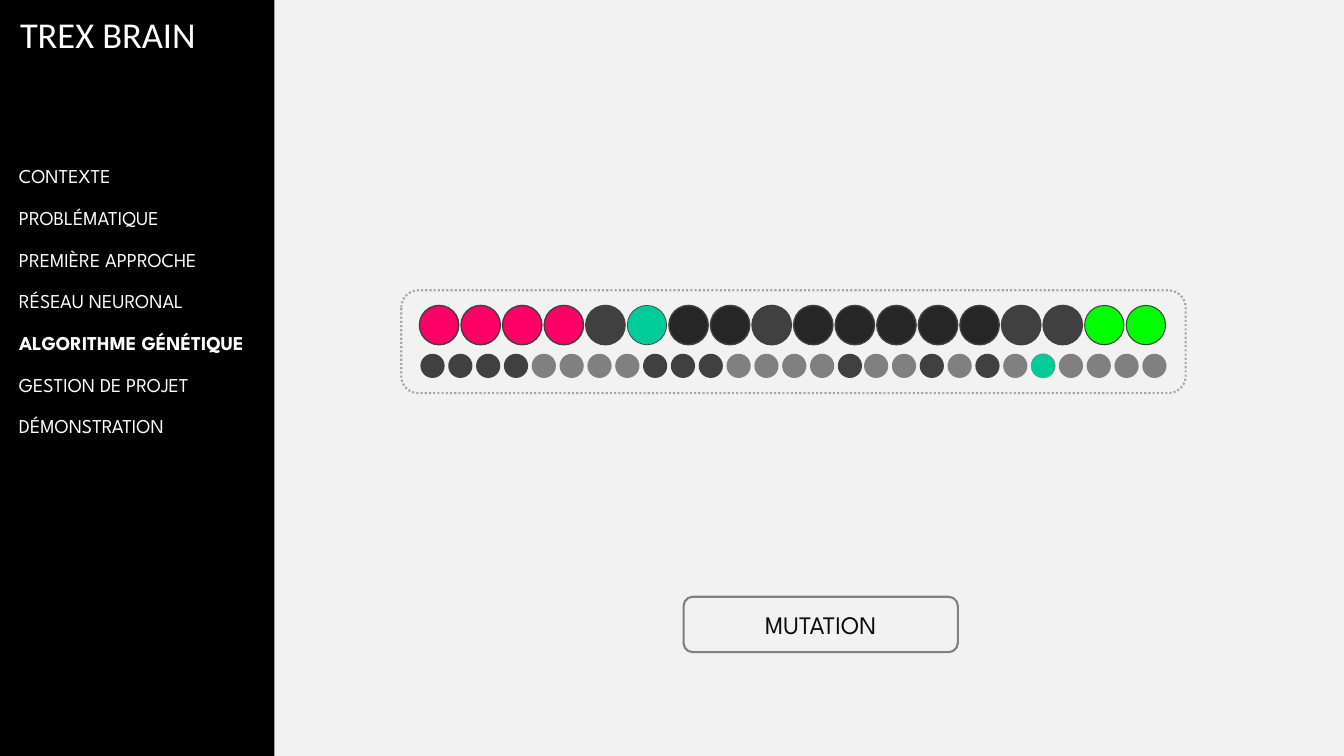
from dataclasses import dataclass

from lxml import etree
from pptx import Presentation
from pptx.dml.color import RGBColor
from pptx.enum.dml import MSO_LINE
from pptx.enum.shapes import MSO_SHAPE
from pptx.enum.text import MSO_ANCHOR, MSO_AUTO_SIZE, PP_ALIGN
from pptx.oxml.ns import qn
from pptx.util import Inches, Pt

OVAL = MSO_SHAPE.OVAL
RECT = MSO_SHAPE.RECTANGLE
ROUND = MSO_SHAPE.ROUNDED_RECTANGLE
DOTS = MSO_LINE.ROUND_DOT
MIDDLE = MSO_ANCHOR.MIDDLE
CENTER = PP_ALIGN.CENTER
GROW = MSO_AUTO_SIZE.SHAPE_TO_FIT_TEXT

BLACK = RGBColor(0x00, 0x00, 0x00)
WHITE = RGBColor(0xFF, 0xFF, 0xFF)
INK = RGBColor(0x0D, 0x0D, 0x0D)
COAL = RGBColor(0x26, 0x26, 0x26)
DARK = RGBColor(0x40, 0x40, 0x40)
GREY = RGBColor(0x80, 0x80, 0x80)
SILVER = RGBColor(0xA6, 0xA6, 0xA6)
PINK = RGBColor(0xFF, 0x00, 0x66)
TEAL = RGBColor(0x00, 0xCC, 0x99)
GREEN = RGBColor(0x00, 0xFF, 0x00)

FONT = "League Spartan"


@dataclass
class Gene:
    fill: RGBColor
    line: RGBColor | None = None
    weight: float = 1


@dataclass
class Strand:
    """A row of evenly spaced genes, one letter for each."""
    code: str
    kinds: dict[str, Gene]
    first: float
    last: float
    top: float
    size: float


NODES = {
    "P": Gene(PINK, DARK),
    "D": Gene(DARK, DARK),
    "K": Gene(COAL, DARK),
    "T": Gene(TEAL, DARK, 0.5),
    "V": Gene(GREEN, DARK, 0.75),
}
LINKS = {
    "D": Gene(DARK),
    "G": Gene(GREY),
    "T": Gene(TEAL, GREY, 0.25),
}
STRANDS = [
    Strand("PPPPDTKKDKKKKKDDVV", NODES, 4.16, 11.17, 3.03, 0.39),
    Strand("DDDDGGGGDDDGGGGD", LINKS, 4.17, 8.31, 3.51, 0.24),
    Strand("GGDGDGTGGGG", LINKS, 8.57, 11.33, 3.51, 0.24),
]

MENU = ["CONTEXTE", "PROBLÉMATIQUE", "PREMIÈRE APPROCHE", "RÉSEAU NEURONAL",
        "ALGORITHME GÉNÉTIQUE", "GESTION DE PROJET", "DÉMONSTRATION"]
ACTIVE = "ALGORITHME GÉNÉTIQUE"


def add_shape(slide, kind, left: float, top: float, width: float, height: float,
              fill: RGBColor | None = None, line: RGBColor | None = None,
              weight: float = 1):
    shape = slide.shapes.add_shape(kind, Inches(left), Inches(top),
                                   Inches(width), Inches(height))
    shape.shadow.inherit = False
    if fill is None:
        shape.fill.background()
    else:
        shape.fill.solid()
        shape.fill.fore_color.rgb = fill
    if line is None:
        shape.line.fill.background()
    else:
        shape.line.color.rgb = line
        shape.line.width = Pt(weight)
    return shape


def set_text(shape, text: str, size: float, color: RGBColor,
             font: str = FONT, bold: bool = False) -> None:
    shape.text_frame.text = text
    style = shape.text_frame.paragraphs[0].runs[0].font
    style.name = font
    style.size = Pt(size)
    style.color.rgb = color
    style.bold = bold


def add_label(slide, text: str, left: float, top: float, width: float,
              height: float, size: float, font: str = FONT,
              bold: bool = False, wrap: bool = True) -> None:
    box = slide.shapes.add_textbox(Inches(left), Inches(top),
                                   Inches(width), Inches(height))
    box.text_frame.word_wrap = wrap
    box.text_frame.auto_size = GROW
    set_text(box, text, size, WHITE, font, bold)


def add_strand(slide, row: Strand) -> None:
    step = (row.last - row.first) / (len(row.code) - 1)
    for i, key in enumerate(row.code):
        gene = row.kinds[key]
        add_shape(slide, OVAL, row.first + i * step, row.top, row.size, row.size,
                  gene.fill, gene.line, gene.weight)


def main() -> None:
    deck = Presentation()
    deck.slide_width = Inches(13.33)
    deck.slide_height = Inches(7.5)
    slide = deck.slides.add_slide(deck.slide_layouts[6])
    slide.background.fill.solid()
    slide.background.fill.fore_color.rgb = BLACK

    # Title and translucent panel
    add_label(slide, "TREX BRAIN", 0.1, 0.07, 2.58, 0.54, 26, "Calibri", wrap=False)
    panel = add_shape(slide, RECT, 2.72, 0, 10.61, 7.5, WHITE)
    tint = panel.fill._xPr.find(qn("a:solidFill"))[0]
    etree.SubElement(tint, qn("a:alpha"), val="95000")

    # Genome in its dotted frame
    for row in STRANDS:
        add_strand(slide, row)
    frame = add_shape(slide, ROUND, 3.98, 2.88, 7.78, 1.02, line=SILVER, weight=1.5)
    frame.line.dash_style = DOTS

    # Step name
    step = add_shape(slide, ROUND, 6.78, 5.92, 2.72, 0.55, line=GREY, weight=1.5)
    set_text(step, "MUTATION", 18, INK)
    step.text_frame.vertical_anchor = MIDDLE
    step.text_frame.paragraphs[0].alignment = CENTER

    # Side menu
    pitch = (4.06 - 1.58) / (len(MENU) - 1)
    for i, item in enumerate(MENU):
        active = item == ACTIVE
        add_label(slide, item, 0.09, 1.58 + i * pitch, 2.75 if active else 2.57,
                  0.34, 14, bold=active)

    deck.save("out.pptx")


if __name__ == "__main__":
    main()
